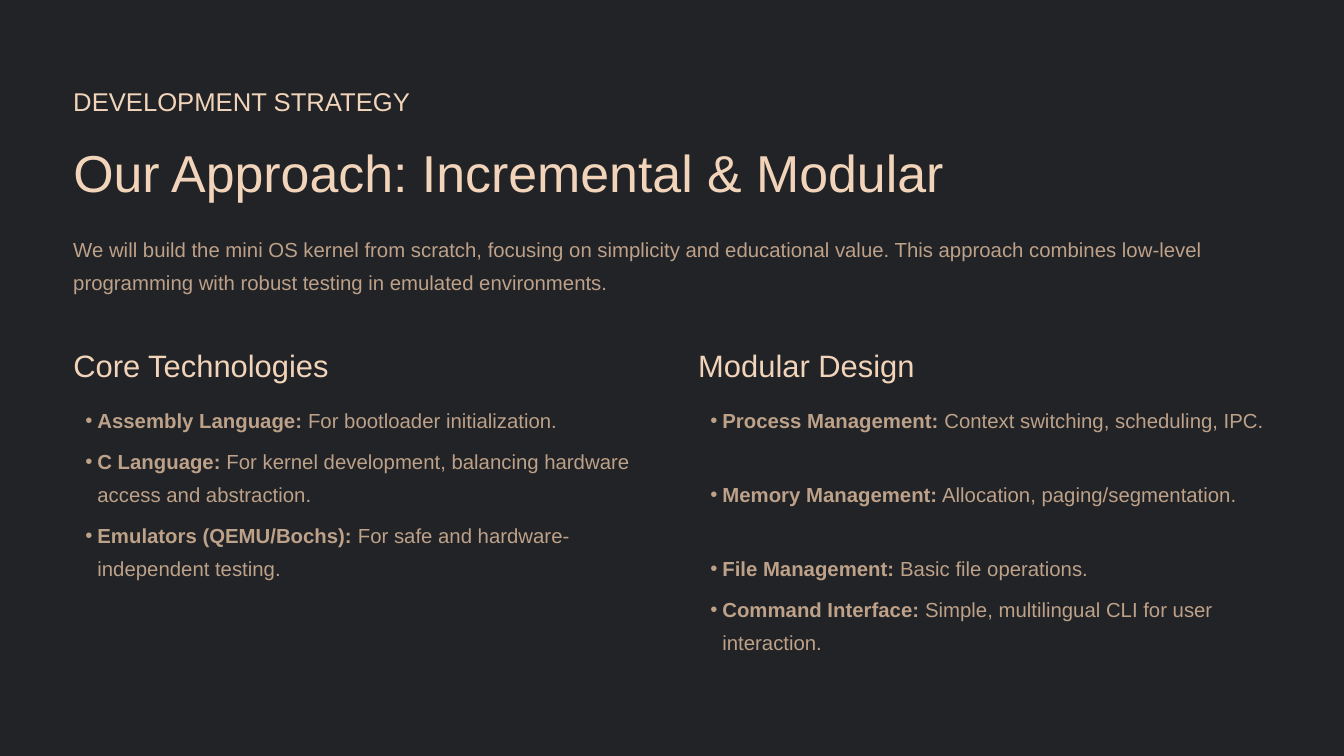
from lxml import etree
from pptx import Presentation
from pptx.dml.color import RGBColor
from pptx.enum.shapes import MSO_SHAPE
from pptx.enum.text import MSO_ANCHOR, MSO_AUTO_SIZE, PP_ALIGN
from pptx.oxml.ns import qn
from pptx.util import Pt

PX = 9144
LEFT, TOP = PP_ALIGN.LEFT, MSO_ANCHOR.TOP
NO_AUTOFIT = MSO_AUTO_SIZE.NONE
RECTANGLE = MSO_SHAPE.RECTANGLE
FONT = "Arial"
COLORS = {"backdrop": "212326", "heading": "F2D4BA", "body": "BDA189"}
BODY_SIZE, BODY_SPACING = 21.8, 35.6


def format_text(shape, left, top, width, height, size, spacing, color):
    shape.left, shape.top = left * PX, top * PX
    shape.width, shape.height = width * PX, height * PX
    frame = shape.text_frame
    frame.margin_left = frame.margin_top = frame.margin_right = frame.margin_bottom = 0
    frame.word_wrap = True
    frame.auto_size = NO_AUTOFIT
    frame.vertical_anchor = TOP
    paragraph = frame.paragraphs[0]
    paragraph.alignment = LEFT
    paragraph.line_spacing = Pt(spacing)
    for run in paragraph.runs:
        run.font.name = FONT
        run.font.size = Pt(size)
        run.font.color.rgb = RGBColor.from_string(COLORS[color])


def add_text(text, *layout):
    shape = slide.shapes.add_textbox(0, 0, PX, PX)
    shape.text_frame.text = text
    format_text(shape, *layout)


presentation = Presentation()
presentation.slide_width = 2000 * PX
presentation.slide_height = 1125 * PX
slide = presentation.slides.add_slide(presentation.slide_layouts[5])
title = slide.shapes.title

backdrop = slide.shapes.add_shape(RECTANGLE, 0, 0, 2000 * PX, 1125 * PX)
backdrop.shadow.inherit = False
backdrop.fill.solid()
backdrop.fill.fore_color.rgb = RGBColor.from_string(COLORS["backdrop"])
backdrop.line.fill.background()
title._element.addprevious(backdrop._element)

add_text("DEVELOPMENT STRATEGY", 109, 126, 553, 51, 27.5, 34.4, "heading")

title.text_frame.text = "Our Approach: Incremental & Modular"
format_text(title, 109, 206, 1459, 99, 55.6, 69.4, "heading")

add_text(
    "We will build the mini OS kernel from scratch, focusing on simplicity and "
    "educational value. This approach combines low-level programming with robust "
    "testing in emulated environments.",
    109, 340, 1783, 111, BODY_SIZE, BODY_SPACING, "body",
)

columns = [
    (109, "Core Technologies", [
        ("Assembly Language:", " For bootloader initialization.", 1),
        ("C Language:", " For kernel development, balancing hardware access and abstraction.", 2),
        ("Emulators (QEMU/Bochs):", " For safe and hardware-independent testing.", 2),
    ]),
    (1039, "Modular Design", [
        ("Process Management:", " Context switching, scheduling, IPC.", 2),
        ("Memory Management:", " Allocation, paging/segmentation.", 2),
        ("File Management:", " Basic file operations.", 1),
        ("Command Interface:", " Simple, multilingual CLI for user interaction.", 2),
    ]),
]
ROW_HEIGHTS = {1: 61, 2: 110}

for left, heading, items in columns:
    add_text(heading, left, 514, 465, 61, 33.1, 41.2, "heading")
    top = 594
    for term, description, lines in items:
        height = ROW_HEIGHTS[lines]
        shape = slide.shapes.add_textbox(0, 0, PX, PX)
        paragraph = shape.text_frame.paragraphs[0]
        paragraph.text = term
        paragraph.add_run().text = description
        paragraph.level = 1
        properties = paragraph._p.get_or_add_pPr()
        properties.set("marL", str(36 * PX))
        properties.set("indent", str(-18 * PX))
        bullet_font = etree.SubElement(properties, qn("a:buFont"))
        bullet_font.set("typeface", FONT)
        bullet = etree.SubElement(properties, qn("a:buChar"))
        bullet.set("char", "•")
        format_text(shape, left, top, 854, height, BODY_SIZE, BODY_SPACING, "body")
        paragraph.runs[0].font.bold = True
        top += height

presentation.save("out.pptx")
